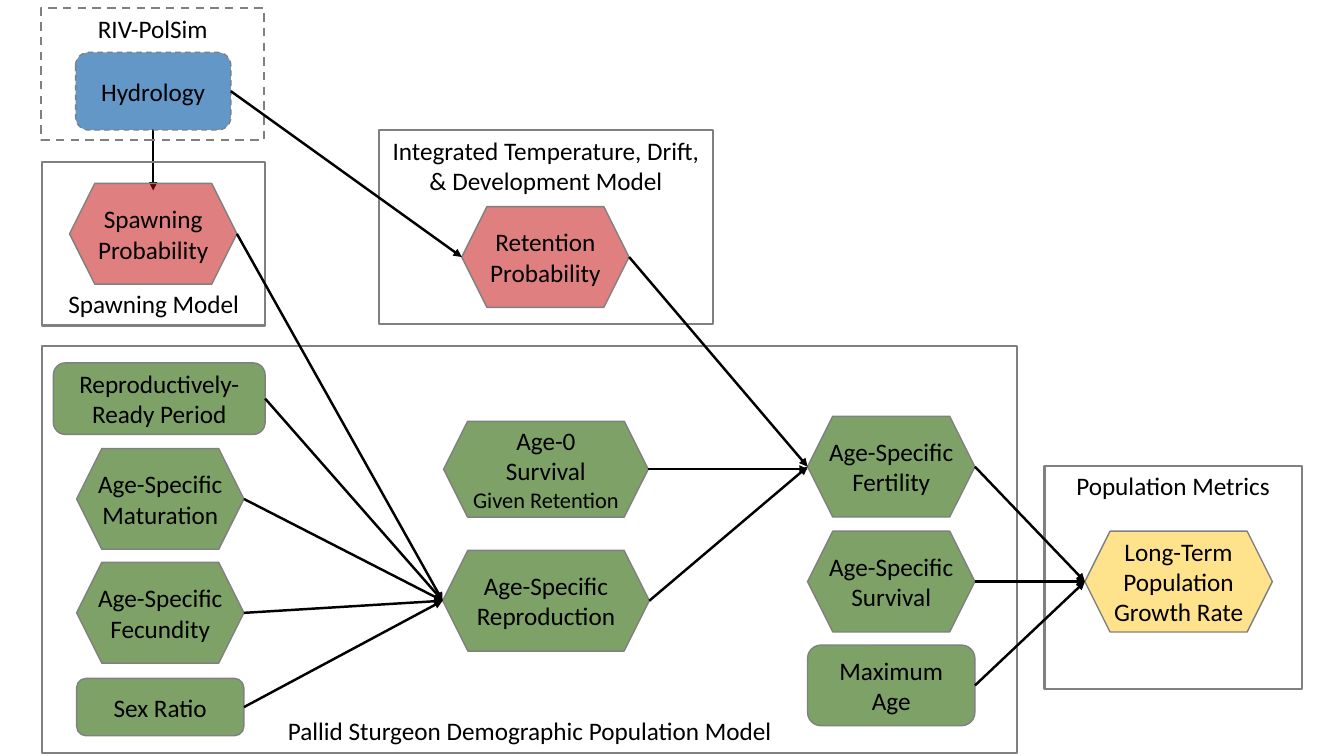
from lxml.etree import SubElement
from pptx import Presentation
from pptx.dml.color import RGBColor
from pptx.enum.dml import MSO_LINE
from pptx.enum.shapes import MSO_CONNECTOR, MSO_SHAPE as SHAPE
from pptx.enum.text import MSO_ANCHOR as ANCHOR, PP_ALIGN
from pptx.oxml.ns import qn
from pptx.util import Inches, Pt

BLACK, GRAY = "000000", "808080"
HEX, ROUND = SHAPE.HEXAGON, SHAPE.ROUNDED_RECTANGLE
# Fill colour and opacity in percent
BLUE, RED, GREEN, YELLOW = ("2E75B6", 75), ("C00000", 50), ("548235", 75), ("FFD966", 75)


def rgb(color):
    """Turn a hex string into a colour."""
    return RGBColor.from_string(color)


def write(sp, text, anchor, small_last=False):
    """Write centred text in a shape, optionally with a smaller last line."""
    tf = sp.text_frame
    tf.text = text
    tf.vertical_anchor = anchor
    for p in tf.paragraphs:
        p.alignment = PP_ALIGN.CENTER
        for r in p.runs:
            r.font.name, r.font.size = "Calibri", Pt(18)
            r.font.color.rgb = rgb(BLACK)
    if small_last:
        tf.paragraphs[-1].runs[0].font.size = Pt(16)
    return tf


def outlined(s, kind, box, width, dashed):
    """Add an unfilled shape with a gray outline."""
    sp = s.shapes.add_shape(kind, *map(Inches, box))
    sp.shadow.inherit = False
    sp.fill.background()
    sp.line.color.rgb, sp.line.width = rgb(GRAY), Pt(width)
    if dashed:
        sp.line.dash_style = MSO_LINE.DASH
    return sp


def node(s, kind, box, fill, text, dashed=False, small_last=False):
    """Add a translucent model component with its label."""
    color, opacity = fill
    sp = outlined(s, kind, box, 1, dashed)
    sp.fill.solid()
    sp.fill.fore_color.rgb = rgb(color)
    clr = sp.element.spPr.find(qn("a:solidFill"))[0]
    SubElement(clr, qn("a:alpha")).set("val", str(opacity * 1000))
    tf = write(sp, text, ANCHOR.MIDDLE, small_last)
    tf.word_wrap = False
    tf.margin_left = tf.margin_right = tf.margin_top = tf.margin_bottom = 0


def region(s, box, title, nodes, anchor=ANCHOR.TOP, dashed=False):
    """Add a titled frame and its nodes; return the box of each node."""
    x, y = box[:2]
    tf = write(outlined(s, SHAPE.RECTANGLE, box, 1.5, dashed), title, anchor)
    tf.word_wrap = True
    tf.margin_bottom = Inches(0.07)
    placed = {}
    for name, (kind, (dx, dy, w, h), fill, text) in nodes.items():
        placed[name] = (x + dx, y + dy, w, h)
        node(s, kind, placed[name], fill, text, dashed, name == "age0")
    return placed


def arrow(s, start, end):
    """Add a black arrow between two points."""
    c = s.shapes.add_connector(MSO_CONNECTOR.STRAIGHT, *map(Inches, start + end))
    c.line.color.rgb, c.line.width = rgb(BLACK), Pt(1.75)
    sp_pr = c.element.spPr
    SubElement(sp_pr.find(qn("a:ln")), qn("a:tailEnd")).set("type", "triangle")
    SubElement(sp_pr, qn("a:effectLst"))


def left(box):
    """Return the middle of a box's left side."""
    return box[0], box[1] + box[3] / 2


def right(box):
    """Return the middle of a box's right side."""
    return box[0] + box[2], box[1] + box[3] / 2


HYDROLOGY = {"hydrology": (ROUND, (0.34, 0.44, 1.54, 0.77), BLUE, "Hydrology")}
SPAWNING = {"spawning": (HEX, (0.27, 0.21, 1.66, 1), RED, "Spawning\vProbability")}
DRIFT = {"retention": (HEX, (0.82, 0.76, 1.66, 1), RED, "Retention\vProbability")}
METRICS = {"growth": (HEX, (0.4, 0.65, 1.86, 1), YELLOW,
                      "Long-Term\vPopulation\vGrowth Rate")}
DEMOGRAPHIC = {
    "period": (ROUND, (0.11, 0.17, 2.1, 0.71), GREEN, "Reproductively-\vReady Period"),
    "maturation": (HEX, (0.34, 1.02, 1.66, 1), GREEN, "Age-Specific\nMaturation"),
    "fecundity": (HEX, (0.34, 2.15, 1.66, 1), GREEN, "Age-Specific\nFecundity"),
    "sex": (ROUND, (0.34, 3.3, 1.66, 0.57), GREEN, "Sex Ratio"),
    "age0": (HEX, (3.98, 0.75, 2.03, 0.95), GREEN, "Age-0\nSurvival\nGiven Retention"),
    "reproduction": (HEX, (3.97, 2.03, 2.05, 1), GREEN, "Age-Specific\nReproduction"),
    "fertility": (HEX, (7.59, 0.7, 1.66, 1), GREEN, "Age-Specific\nFertility"),
    "survival": (HEX, (7.59, 1.84, 1.66, 1), GREEN, "Age-Specific\nSurvival"),
    "age": (ROUND, (7.59, 2.97, 1.66, 0.8), GREEN, "Maximum\vAge"),
}
FLOWS = {
    "retention": ["hydrology"],
    "reproduction": ["spawning", "period", "maturation", "fecundity", "sex"],
    "fertility": ["retention", "reproduction"],
    "growth": ["fertility", "survival", "age"],
}


def model_diagram(s):
    """Draw all model regions and the flows between their nodes."""
    arrow(s, (1.52, 1.28), (1.52, 1.89))
    boxes = {
        **region(s, (0.42, 3.43, 9.67, 4.04), "Pallid Sturgeon Demographic Population Model",
                 DEMOGRAPHIC, ANCHOR.BOTTOM),
        **region(s, (10.36, 4.62, 2.55, 2.22), "Population Metrics", METRICS),
        **region(s, (0.41, 0.08, 2.21, 1.31), "RIV-PolSim", HYDROLOGY, dashed=True),
        **region(s, (3.76, 1.29, 3.31, 1.92),
                 "Integrated Temperature, Drift, & Development Model", DRIFT),
        **region(s, (0.42, 1.61, 2.21, 1.62), "Spawning Model", SPAWNING, ANCHOR.BOTTOM),
    }
    for target, sources in FLOWS.items():
        for source in sources:
            arrow(s, right(boxes[source]), left(boxes[target]))
    x, y = right(boxes["age0"])
    arrow(s, (x, y), (boxes["fertility"][0], y))


prs = Presentation()
prs.slide_width, prs.slide_height = Inches(13.33), Inches(7.5)
model_diagram(prs.slides.add_slide(prs.slide_layouts[6]))
prs.save("out.pptx")
